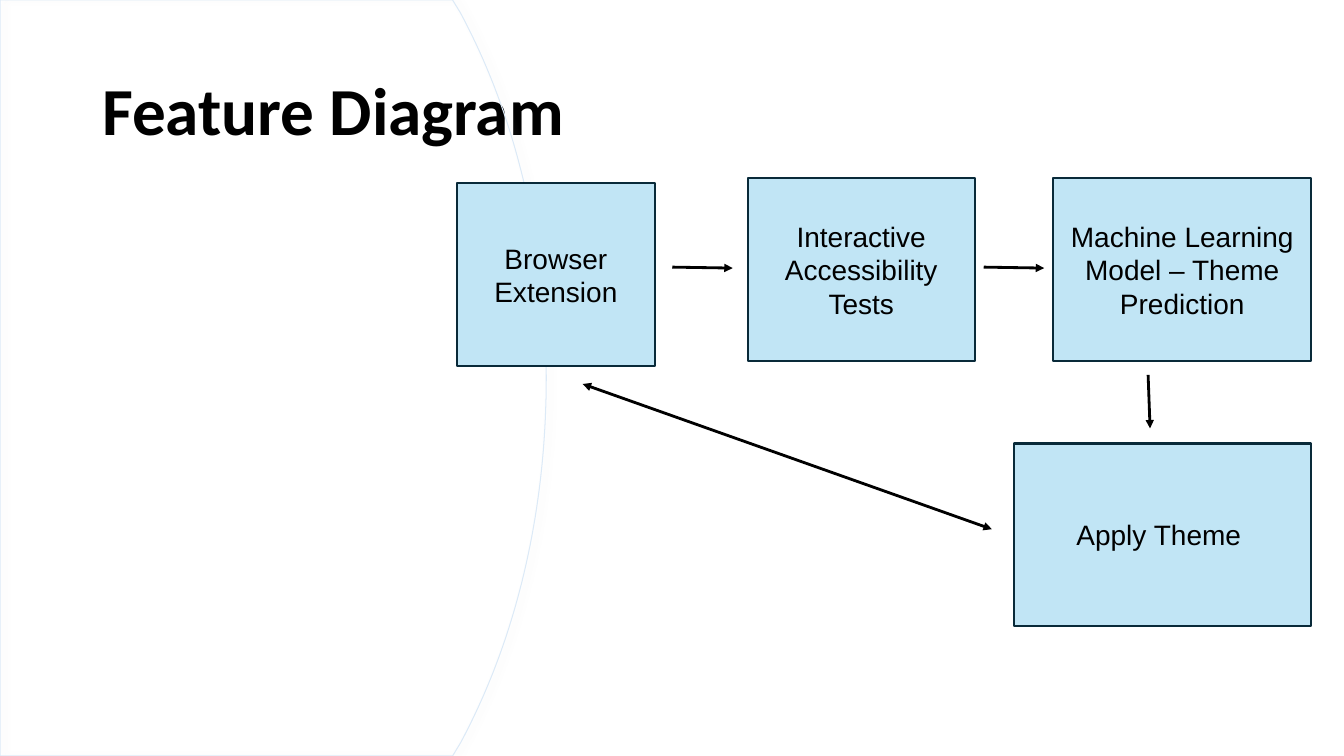
"""Build the Feature Diagram slide."""
from dataclasses import dataclass
from pptx import Presentation
from pptx.dml.color import RGBColor as RGB
from pptx.enum.shapes import MSO_CONNECTOR as LINK, MSO_SHAPE as SHAPE
from pptx.enum.text import MSO_ANCHOR as ANCHOR, PP_ALIGN as ALIGN
from pptx.oxml.ns import qn
from pptx.util import Pt
from lxml.etree import SubElement as Sub


@dataclass(frozen=True)
class Theme:
    ink: RGB = RGB(0, 0, 0)
    fill: RGB = RGB(0xC1, 0xE5, 0xF5)
    edge: RGB = RGB(0x09, 0x2A, 0x39)
    arc: RGB = RGB(0xDC, 0xEA, 0xF7)
    shade: str = "D9D9D9"
    head: int = 48
    body: int = 20


THEME = Theme()
BOX_H = 130.3


def write(shape, text, face, size, bold=False):
    frame = shape.text_frame
    frame.word_wrap = True
    frame.vertical_anchor = ANCHOR.MIDDLE
    para = frame.paragraphs[0]
    para.text = text
    font = para.font
    font.name, font.size, font.bold = face, Pt(size), bold
    font.color.rgb = THEME.ink
    return para


def add_title(slide, text):
    box = slide.shapes.add_textbox(Pt(66), Pt(28.8), Pt(828), Pt(104.4))
    para = write(box, text, "Calibri", THEME.head, True)
    para.line_spacing = 0.9


def curve(a, b, c, d, steps=40):
    for i in range(1, steps + 1):
        t = i / steps
        u = 1 - t
        yield tuple(
            u**3 * p + 3 * u * u * t * q + 3 * u * t * t * r + t**3 * s
            for p, q, r, s in zip(a, b, c, d)
        )


def add_arc(slide):
    start = (329, 9.4)
    upper = [(323.3, 0), start]
    upper += curve(start, (368, 82), (390.2, 172), (390.2, 270))
    lower = [(x, 540 - y) for x, y in reversed(upper[:-1])]
    points = [(Pt(x), Pt(y)) for x, y in upper + lower + [(0, 540)]]
    path = slide.shapes.build_freeform(0, 0)
    path.add_line_segments(points, close=True)
    arc = path.convert_to_shape()
    arc.fill.background()
    arc.line.color.rgb = THEME.arc
    arc.line.width = Pt(0.75)
    arc.shadow.inherit = False
    effect = arc._element.spPr.find(qn("a:effectLst"))
    shade = Sub(effect, qn("a:outerShdw"), blurRad=str(Pt(4)), dist=str(Pt(3)), dir="0")
    tint = Sub(shade, qn("a:srgbClr"), val=THEME.shade)
    Sub(tint, qn("a:alpha"), val="30000")


def add_box(slide, text, left, top, width):
    box = slide.shapes.add_shape(
        SHAPE.RECTANGLE, Pt(left), Pt(top), Pt(width), Pt(BOX_H)
    )
    box.shadow.inherit = False
    box.fill.solid()
    box.fill.fore_color.rgb = THEME.fill
    box.line.color.rgb = THEME.edge
    box.line.width = Pt(1.5)
    write(box, text, "Arial", THEME.body).alignment = ALIGN.CENTER


def add_arrow(slide, x1, y1, x2, y2, both=False):
    link = slide.shapes.add_connector(LINK.STRAIGHT, Pt(x1), Pt(y1), Pt(x2), Pt(y2))
    link.line.color.rgb = THEME.ink
    link.line.width = Pt(2)
    props = link._element.spPr
    line = props.find(qn("a:ln"))
    for end in ("a:headEnd", "a:tailEnd") if both else ("a:tailEnd",):
        Sub(line, qn(end), type="triangle")
    Sub(props, qn("a:effectLst"))


def main():
    deck = Presentation()
    deck.slide_width, deck.slide_height = Pt(960), Pt(540)
    slide = deck.slides.add_slide(deck.slide_layouts[6])
    add_title(slide, "Feature Diagram")
    add_arc(slide)
    add_box(slide, "Interactive Accessibility Tests", 534.2, 127.4, 162)
    add_box(slide, "Machine Learning Model – Theme Prediction", 752.4, 127.4, 184.3)
    add_box(slide, "Browser Extension", 326.2, 131, 141.8)
    add_box(slide, "Apply Theme ", 724.3, 316.8, 212.4)
    for left in (480.2, 702.7):
        add_arrow(slide, left, 190.8, left + 43.2, 191.5)
    add_arrow(slide, 820.1, 267.8, 821.5, 306)
    add_arrow(slide, 416.2, 274.3, 708.5, 378, both=True)
    deck.save("out.pptx")


if __name__ == "__main__":
    main()
